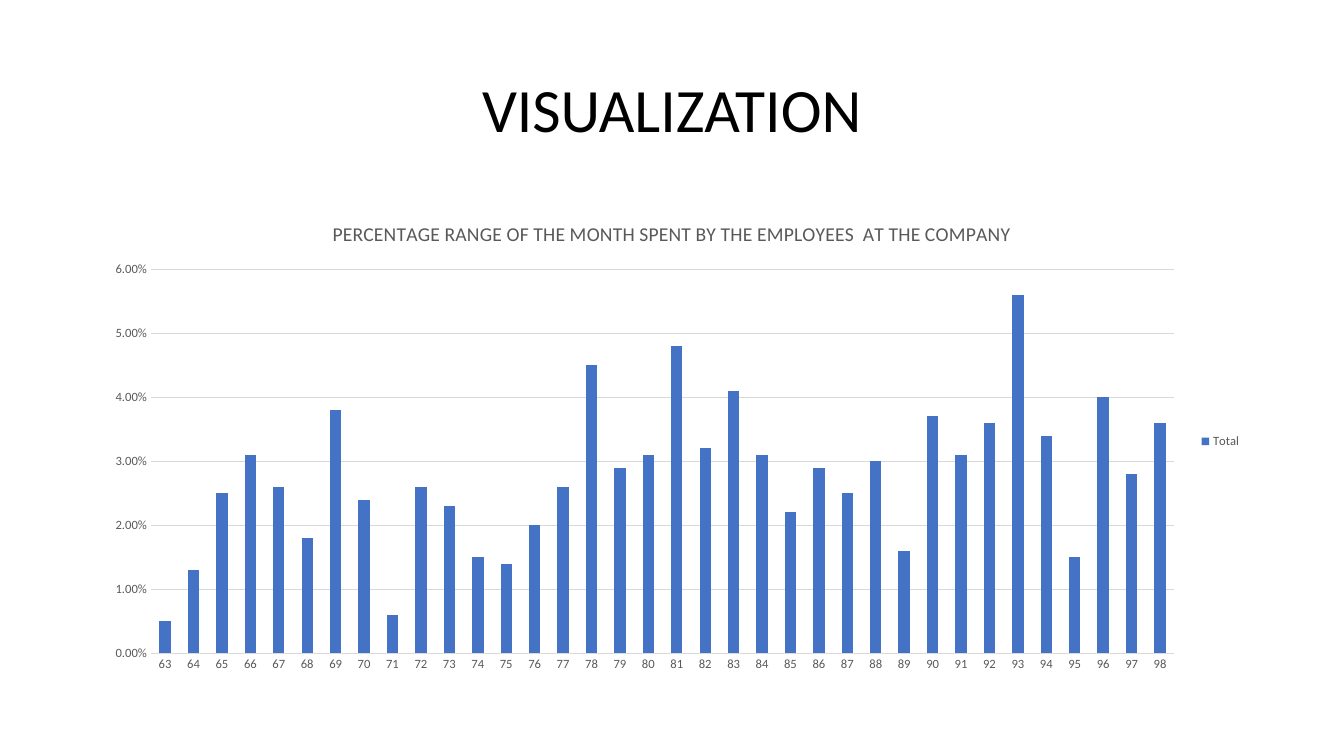
from pptx import Presentation
from pptx.chart.data import CategoryChartData
from pptx.dml.color import RGBColor
from pptx.enum.chart import XL_CHART_TYPE, XL_LEGEND_POSITION, XL_TICK_MARK
from pptx.enum.text import MSO_ANCHOR, PP_ALIGN
from pptx.util import Pt

COLUMN_STACKED = XL_CHART_TYPE.COLUMN_STACKED
LEGEND_RIGHT = XL_LEGEND_POSITION.RIGHT
NO_TICK = XL_TICK_MARK.NONE
MIDDLE = MSO_ANCHOR.MIDDLE
CENTER = PP_ALIGN.CENTER

EMU_PER_PX = 9525
FONT = "Calibri"
COLORS = {
    "title": "000000",
    "label": "595959",
    "grid": "D9D9D9",
    "column": "4472C4",
}

FIRST_MONTH = 63
MONTH_SHARES = [
    0.005, 0.013, 0.025, 0.031, 0.026, 0.018, 0.038, 0.024, 0.006,
    0.026, 0.023, 0.015, 0.014, 0.02, 0.026, 0.045, 0.029, 0.031,
    0.048, 0.032, 0.041, 0.031, 0.022, 0.029, 0.025, 0.03, 0.016,
    0.037, 0.031, 0.036, 0.056, 0.034, 0.015, 0.04, 0.028, 0.036,
]


def px(*lengths):
    return [length * EMU_PER_PX for length in lengths]


def color(name):
    return RGBColor.from_string(COLORS[name])


def style_font(font, size, color_name):
    font.name = FONT
    font.size = Pt(size)
    font.bold = False
    font.color.rgb = color(color_name)


def add_run(paragraph, text, size, color_name):
    run = paragraph.add_run()
    run.text = text
    style_font(run.font, size, color_name)


def add_title(slide, text, box):
    frame = slide.shapes.add_textbox(*px(*box)).text_frame
    frame.word_wrap = True
    frame.vertical_anchor = MIDDLE
    paragraph = frame.paragraphs[0]
    paragraph.alignment = CENTER
    paragraph.line_spacing = 0.9
    add_run(paragraph, text, 44, "title")


def style_axis(axis):
    axis.major_tick_mark = NO_TICK
    axis.minor_tick_mark = NO_TICK
    axis.format.line.fill.background()
    style_font(axis.tick_labels.font, 9, "label")


def style_value_axis(axis):
    style_axis(axis)
    axis.minimum_scale = 0
    axis.maximum_scale = 0.06
    axis.major_unit = 0.01
    axis.tick_labels.number_format = "0.00%"
    axis.tick_labels.number_format_is_linked = False
    axis.has_major_gridlines = True
    grid_line = axis.major_gridlines.format.line
    grid_line.color.rgb = color("grid")
    grid_line.width = Pt(0.75)


def add_column_chart(slide, title, box):
    data = CategoryChartData(number_format="0.00%")
    data.categories = [str(FIRST_MONTH + i) for i in range(len(MONTH_SHARES))]
    data.add_series("Total", MONTH_SHARES)
    chart = slide.shapes.add_chart(COLUMN_STACKED, *px(*box), data).chart
    style_font(chart.font, 10, "title")

    chart.has_title = True
    add_run(chart.chart_title.text_frame.paragraphs[0], title, 14, "label")
    chart.chart_title.include_in_layout = False

    chart.has_legend = True
    chart.legend.position = LEGEND_RIGHT
    chart.legend.include_in_layout = False
    style_font(chart.legend.font, 9, "label")

    style_axis(chart.category_axis)
    style_value_axis(chart.value_axis)

    plot = chart.plots[0]
    plot.gap_width = 150
    plot.overlap = 100
    plot.vary_by_categories = False
    fill = plot.series[0].format.fill
    fill.solid()
    fill.fore_color.rgb = color("column")


def main():
    presentation = Presentation()
    presentation.slide_width, presentation.slide_height = px(1280, 720)
    slide = presentation.slides.add_slide(presentation.slide_layouts[6])
    add_title(slide, "VISUALIZATION", (88, 38, 1104, 139))
    add_column_chart(
        slide,
        "PERCENTAGE RANGE OF THE MONTH SPENT BY THE EMPLOYEES  AT THE COMPANY",
        (88, 192, 1104, 457),
    )
    presentation.save("out.pptx")


if __name__ == "__main__":
    main()
